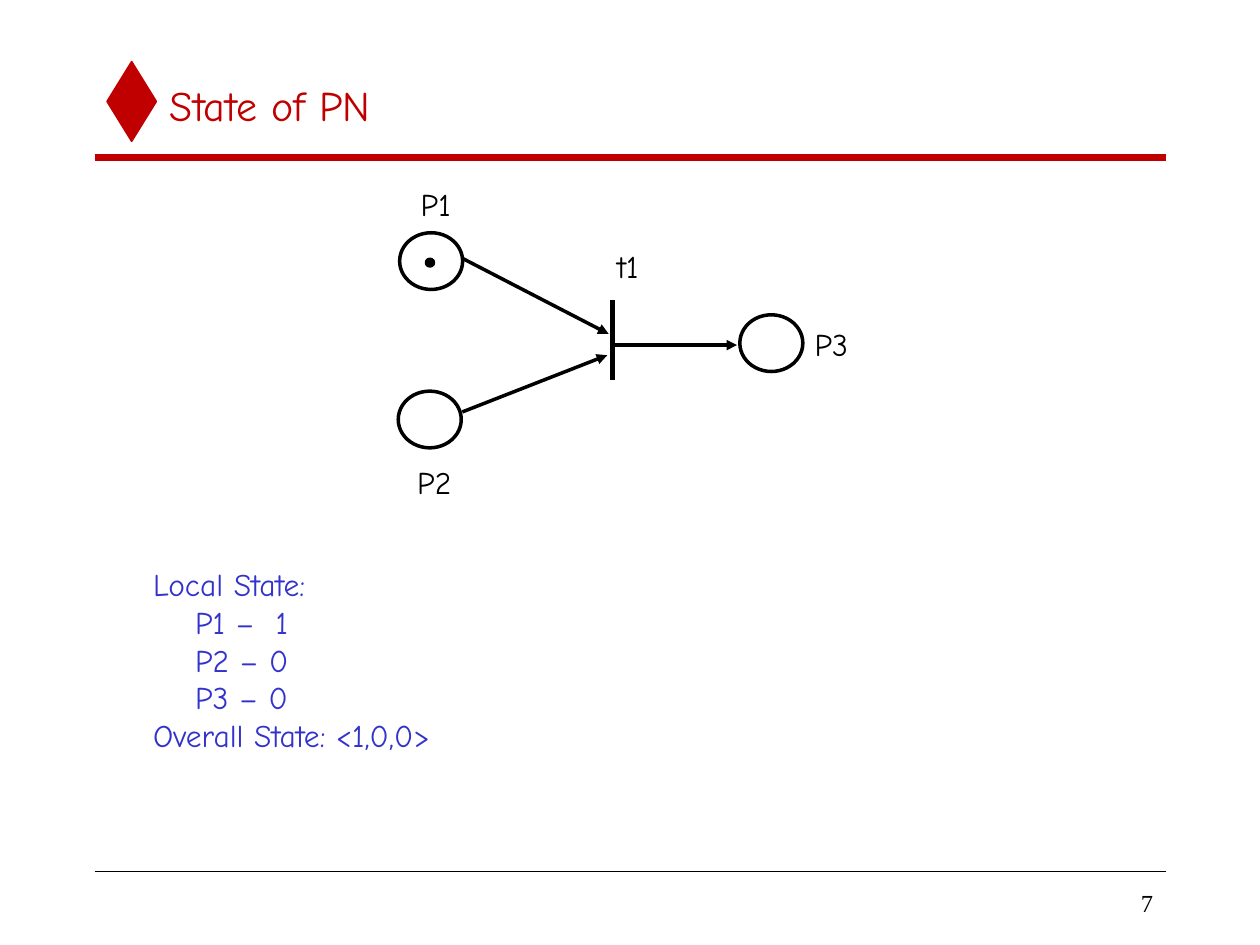
from lxml import etree
from pptx import Presentation
from pptx.dml.color import RGBColor
from pptx.enum.shapes import MSO_CONNECTOR, MSO_SHAPE
from pptx.enum.text import MSO_ANCHOR, MSO_AUTO_SIZE, PP_ALIGN
from pptx.oxml.ns import qn
from pptx.util import Pt

RED = RGBColor(0xC0, 0x00, 0x00)
BLUE = RGBColor(0x33, 0x33, 0xCC)
BLACK = RGBColor(0x00, 0x00, 0x00)
DIAMOND, OVAL = MSO_SHAPE.DIAMOND, MSO_SHAPE.OVAL
STRAIGHT = MSO_CONNECTOR.STRAIGHT
LEFT, RIGHT = PP_ALIGN.LEFT, PP_ALIGN.RIGHT
TOP, MIDDLE = MSO_ANCHOR.TOP, MSO_ANCHOR.MIDDLE
GROW = MSO_AUTO_SIZE.SHAPE_TO_FIT_TEXT
PLACE_W, PLACE_H = 36, 32.4
INDENT = 24


class Slide:
    """Draws styled elements on one slide, with lengths in points."""

    font = "Comic Neue"
    size = 18
    weight = 2

    def __init__(self, prs):
        self.s = prs.slides.add_slide(prs.slide_layouts[6])

    def shape(self, kind, x, y, w, h, fill=None, line=BLACK, weight=weight):
        sp = self.s.shapes.add_shape(kind, Pt(x), Pt(y), Pt(w), Pt(h))
        sp.shadow.inherit = False
        if fill is None:
            sp.fill.background()
        else:
            sp.fill.solid()
            sp.fill.fore_color.rgb = fill
        sp.line.color.rgb = line
        sp.line.width = Pt(weight)

    def line(self, x1, y1, x2, y2, color=BLACK, weight=weight, arrow=False):
        c = self.s.shapes.add_connector(STRAIGHT, Pt(x1), Pt(y1), Pt(x2), Pt(y2))
        c.line.color.rgb = color
        c.line.width = Pt(weight)
        if arrow:
            ln = c.line._get_or_add_ln()
            etree.SubElement(ln, qn("a:tailEnd"), type="triangle")
        etree.SubElement(c._element.spPr, qn("a:effectLst"))

    def text(self, x, y, w, h, lines, color=BLACK, size=size, font=font,
             align=LEFT, anchor=TOP, wrap=False):
        tf = self.s.shapes.add_textbox(Pt(x), Pt(y), Pt(w), Pt(h)).text_frame
        tf.word_wrap = wrap
        if not wrap:
            tf.auto_size = GROW
        tf.vertical_anchor = anchor
        for i, (text, indent) in enumerate(lines):
            p = tf.add_paragraph() if i else tf.paragraphs[0]
            p.alignment = align
            if indent:
                p._p.get_or_add_pPr().set("marL", str(Pt(indent)))
            r = p.add_run()
            r.text = text
            r.font.name = font
            r.font.size = Pt(size)
            r.font.color.rgb = color


def main():
    prs = Presentation()
    prs.slide_width, prs.slide_height = Pt(720), Pt(540)
    s = Slide(prs)

    s.shape(DIAMOND, 61.2, 35.3, 28.1, 45.4, fill=RED, line=RED, weight=1)
    s.line(54, 90, 666, 90, color=RED, weight=4)
    s.line(54, 498, 666, 498, weight=1)
    s.text(563.8, 504, 102.2, 23.8, [("7", 0)], size=14,
           font="Times New Roman", align=RIGHT, anchor=MIDDLE, wrap=True)
    s.text(90, 36, 576, 48.2, [("State of PN", 0)], color=RED, size=24,
           anchor=MIDDLE, wrap=True)

    for x, y in [(228.4, 133), (227.6, 223.5), (422.8, 179.9)]:
        s.shape(OVAL, x, y, PLACE_W, PLACE_H)
    s.shape(OVAL, 243.7, 148.2, 4, 3.8, fill=BLACK)
    s.line(350, 171.4, 350, 217.4, weight=2.5)
    for ends in [(264.2, 147.6, 347.8, 190.8),
                 (264.2, 235.4, 347, 203),
                 (350.6, 197.2, 421.2, 197.2)]:
        s.line(*ends, arrow=True)

    for label, x, y, w in [("P1", 233.3, 102.2, 32), ("P2", 231.3, 260.8, 34),
                           ("P3", 458.4, 182, 34), ("t1", 345.6, 137.5, 27)]:
        s.text(x, y, w, 28.8, [(label, 0)])

    s.text(80.4, 319.3, 174.2, 115.2,
           [("Local State:", 0), ("P1 –  1", INDENT), ("P2 – 0", INDENT),
            ("P3 – 0", INDENT), ("Overall State: <1,0,0>", 0)], color=BLUE)

    prs.save("out.pptx")


if __name__ == "__main__":
    main()
